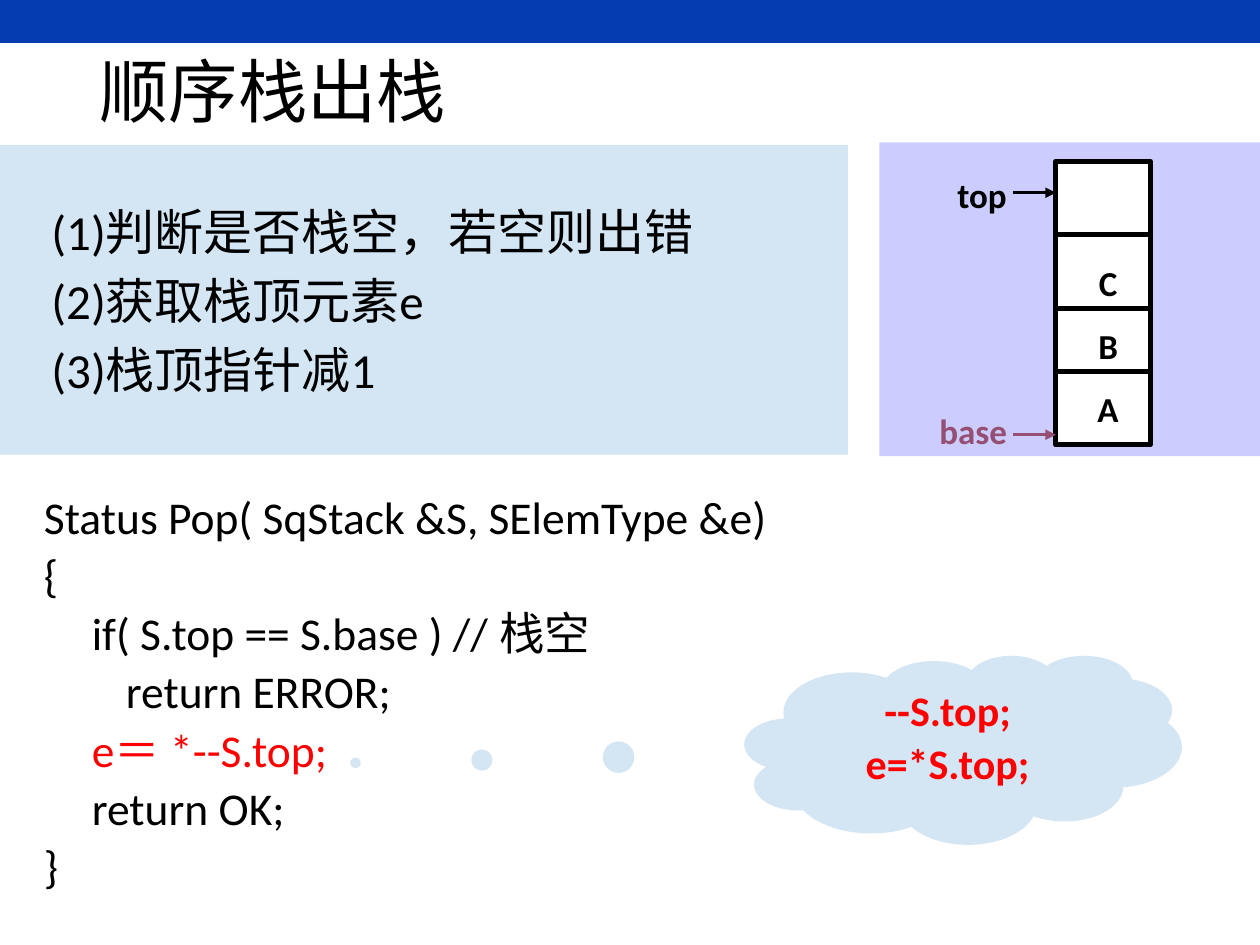
from lxml import etree
from pptx import Presentation
from pptx.dml.color import RGBColor
from pptx.enum.shapes import MSO_CONNECTOR, MSO_SHAPE
from pptx.enum.text import MSO_ANCHOR, PP_ALIGN
from pptx.oxml.ns import qn
from pptx.util import Inches, Pt

RECT, CLOUD = MSO_SHAPE.RECTANGLE, MSO_SHAPE.CLOUD_CALLOUT
LEFT, CENTER = PP_ALIGN.LEFT, PP_ALIGN.CENTER
TOP, MIDDLE = MSO_ANCHOR.TOP, MSO_ANCHOR.MIDDLE
FONT = "Calibri"
COLORS = {"bar": "053CAF", "lilac": "CCCCFF", "pale": "D4E6F4", "white": "FFFFFF",
          "black": "000000", "red": "FF0000", "plum": "954F72"}

TITLE = "顺序栈出栈"
STEPS = ["(1)判断是否栈空，若空则出错", "(2)获取栈顶元素e", "(3)栈顶指针减1"]
# text, indent in inches, color
CODE = [
    ("Status Pop( SqStack &S, SElemType &e)", 0, "black"),
    ("{", 0, "black"),
    ("if( S.top == S.base ) // 栈空", 0.38, "black"),
    ("return ERROR;", 0.65, "black"),
    ("e＝ *--S.top;", 0.38, "red"),
    ("return OK;", 0.38, "black"),
    ("}", 0, "black"),
]
NOTE = ["--S.top;", "e=*S.top;"]
STACK = (8.38, 1.28, 0.75, 2.25)
RULES = [1.86, 2.45, 2.95]
ITEMS = ["C", "B", "A"]
ITEM_TOP, ITEM_STEP = 2.03, 0.5
# text, left, top, arrow height, color
MARKS = [("top", 7.13, 1.33, 1.53, "black"), ("base", 7.06, 3.2, 3.45, "plum")]


def rgb(name):
    return RGBColor.from_string(COLORS[name])


def box(slide, kind, at, fill):
    shape = slide.shapes.add_shape(kind, *map(Inches, at))
    shape.shadow.inherit = False
    shape.fill.solid()
    shape.fill.fore_color.rgb = rgb(fill)
    shape.line.fill.background()
    return shape


def write(shape, rows, size, anchor=TOP, bold=False, before=0.2, **look):
    """Fill a shape with (text, indent, color) rows; before is a share of the size."""
    frame = shape.text_frame
    frame.word_wrap = True
    frame.vertical_anchor = anchor
    for i, (text, indent, color) in enumerate(rows):
        para = frame.paragraphs[0] if i == 0 else frame.add_paragraph()
        para.space_before = Pt(round(size * before, 1))
        for key, value in look.items():
            setattr(para, key, value)
        if indent:
            props = para._p.get_or_add_pPr()
            props.set("marL", str(Inches(indent)))
            props.set("indent", "0")
        run = para.add_run()
        run.text = text
        style = {"name": FONT, "size": Pt(size), "bold": bold}
        for key, value in style.items():
            setattr(run.font, key, value)
        run.font.color.rgb = rgb(color)


def label(slide, at, text, color="black"):
    area = slide.shapes.add_textbox(*map(Inches, at))
    write(area, [(text, 0, color)], 20, bold=True, before=0.5, alignment=CENTER)


def line(slide, left, right, y, color, width, arrow=False):
    link = slide.shapes.add_connector(
        MSO_CONNECTOR.STRAIGHT, *map(Inches, (left, y, right, y)))
    link.line.color.rgb = rgb(color)
    link.line.width = Pt(width)
    if arrow:
        etree.SubElement(link.line._get_or_add_ln(), qn("a:tailEnd"), type="triangle")
    etree.SubElement(link._element.spPr, qn("a:effectLst"))


def draw_stack(slide):
    left, _, width, _ = STACK
    frame = box(slide, RECT, STACK, "white")
    frame.line.color.rgb = rgb("black")
    frame.line.width = Pt(3)
    for y in RULES:
        line(slide, left, left + width, y, "black", 3)
    for i, item in enumerate(ITEMS):
        label(slide, (8.46, ITEM_TOP + i * ITEM_STEP, 0.67, 0.43), item)
    for text, x, y, tip, color in MARKS:
        line(slide, 8.04, left, tip, color, 1.5, arrow=True)
        label(slide, (x, y, 1.33, 0.43), text, color)


def main():
    prs = Presentation()
    prs.slide_width, prs.slide_height = Inches(10), Inches(7.5)
    slide = prs.slides.add_slide(prs.slide_layouts[5])

    box(slide, RECT, (0, 0, 10, 0.34), "bar")
    title = slide.shapes.title
    title.left, title.top, title.width, title.height = map(Inches, (0.69, 0.4, 8.62, 0.71))
    write(title, [(TITLE, 0, "black")], 39.6, MIDDLE, before=0,
          alignment=LEFT, line_spacing=0.9)

    box(slide, RECT, (6.98, 1.13, 3.02, 2.49), "lilac")
    panel = box(slide, RECT, (0, 1.15, 6.73, 2.46), "pale")
    write(panel, [(text, 0.31, "black") for text in STEPS], 28, MIDDLE, alignment=LEFT)

    code = slide.shapes.add_textbox(*map(Inches, (0.25, 3.88, 9.45, 3.2)))
    write(code, CODE, 26, alignment=LEFT, line_spacing=0.9)

    cloud = box(slide, CLOUD, (5.91, 5.2, 3.47, 1.5), "pale")
    cloud.adjustments[0], cloud.adjustments[1] = -1.39, 0.07
    write(cloud, [(text, 0, "red") for text in NOTE], 24, bold=True,
          alignment=CENTER, line_spacing=0.9)

    draw_stack(slide)
    prs.save("out.pptx")


if __name__ == "__main__":
    main()
